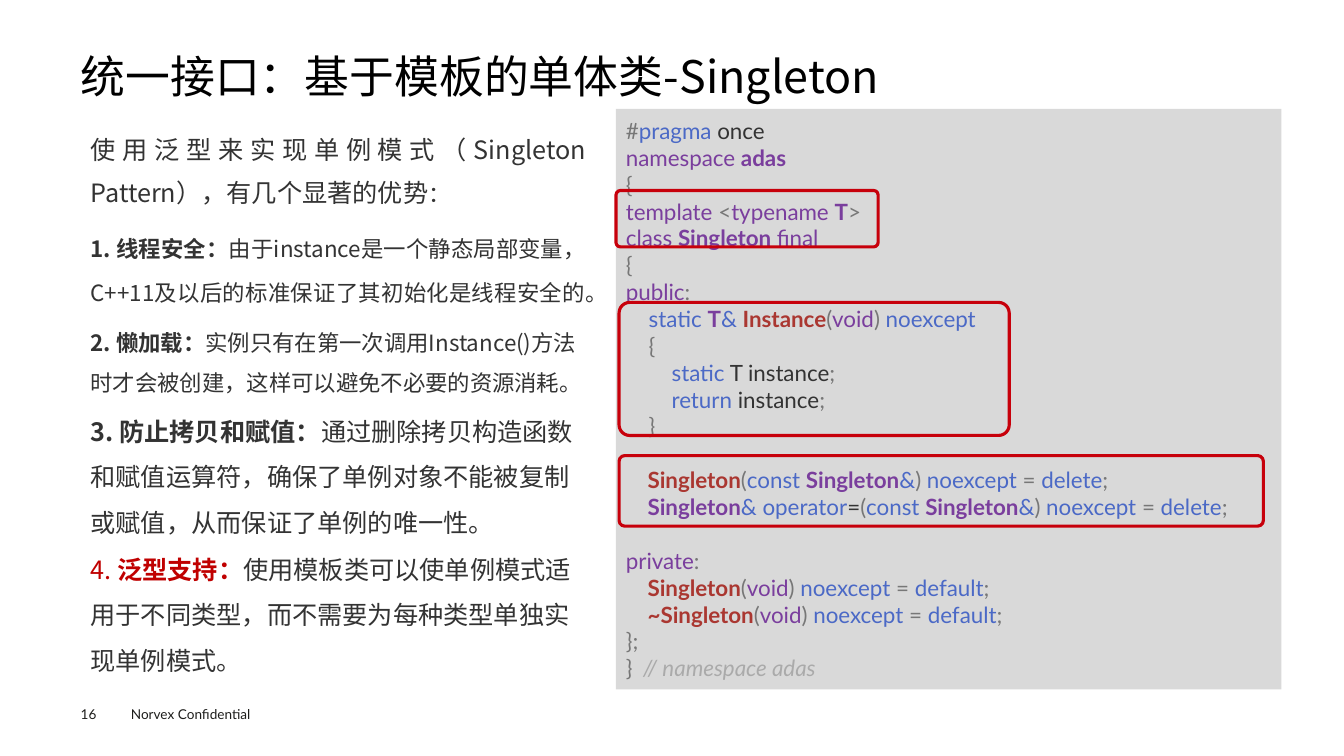
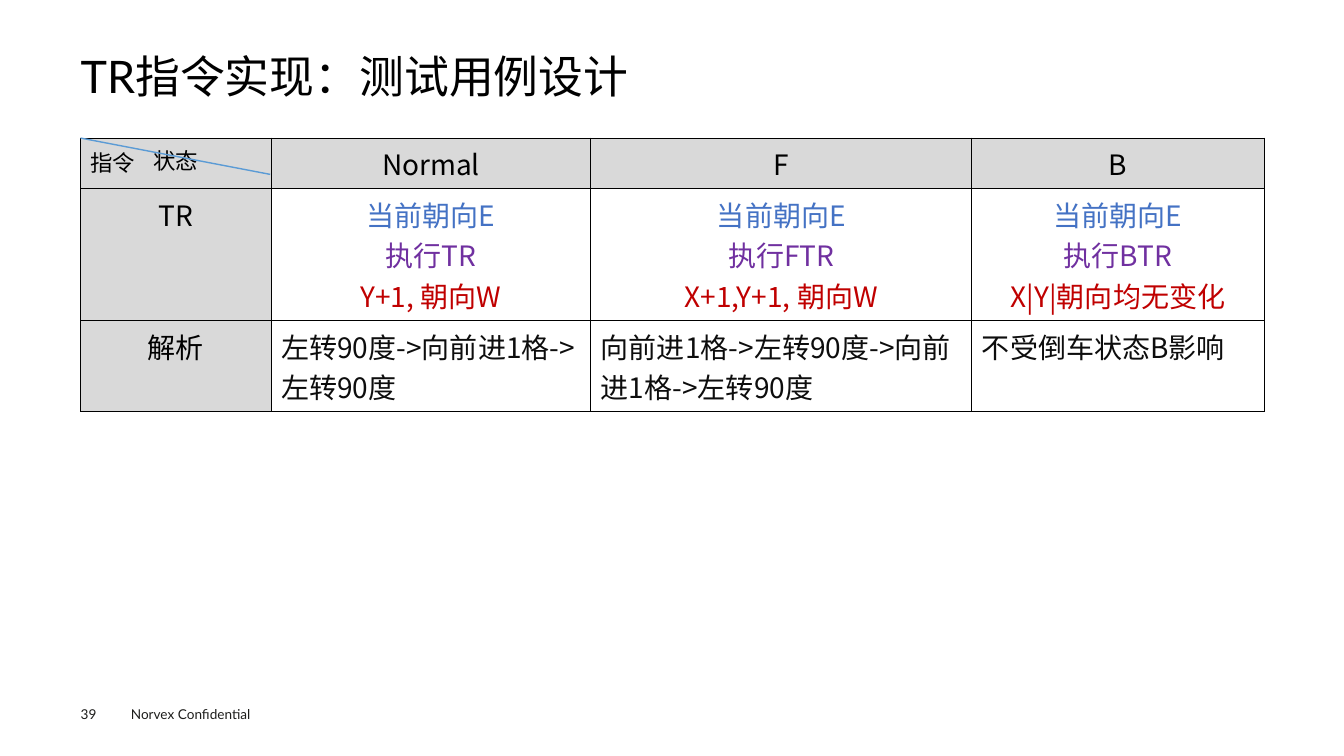
from lxml import etree
from pptx import Presentation
from pptx.dml.color import RGBColor
from pptx.enum import shapes, text
from pptx.oxml import ns
from pptx.util import Inches, Pt

CJK, LATIN = "Noto Sans CJK SC", "Lato"
BLACK, INK, GREY, RED, FRAME = "000000", "333333", "D9D9D9", "C00000", "C7000B"
LEFT, MIDDLE, BOTTOM = text.PP_ALIGN.LEFT, text.MSO_ANCHOR.MIDDLE, text.MSO_ANCHOR.BOTTOM
CENTER, JUSTIFY = text.PP_ALIGN.CENTER, text.PP_ALIGN.JUSTIFY
FOOTER = "Norvex Confidential"

TOKEN_STYLES = {
    "p": {"color": "777777"},
    "k": {"color": "4B69C6"},
    "n": {"color": INK},
    "t": {"color": "7A3E9D"},
    "T": {"color": "7A3E9D", "bold": True},
    "F": {"color": "AA3731", "bold": True},
    "c": {"color": "AAAAAA", "italic": True},
}
DELETED = [("p", ") "), ("k", "noexcept "), ("p", "= "), ("k", "delete"), ("p", ";")]
DEFAULTED = [("p", "("), ("t", "void"), ("p", ") "), ("k", "noexcept "),
             ("p", "= "), ("k", "default"), ("p", ";")]
CONST_REF = [("p", "("), ("k", "const "), ("T", "Singleton"), ("k", "&")]
CODE = [
    [("p", "#"), ("k", "pragma"), ("n", " once")],
    [("t", "namespace "), ("T", "adas")],
    [("p", "{")],
    [("t", "template "), ("p", "<"), ("t", "typename "), ("T", "T"), ("p", ">")],
    [("t", "class "), ("T", "Singleton "), ("t", "final")],
    [("p", "{")],
    [("t", "public"), ("p", ":")],
    [("k", "    static "), ("T", "T"), ("k", "& "), ("F", "Instance"), ("p", "("),
     ("t", "void"), ("p", ") "), ("k", "noexcept")],
    [("p", "    {")],
    [("k", "        static"), ("n", " T instance"), ("p", ";")],
    [("k", "        return"), ("n", " instance"), ("p", ";")],
    [("p", "    }")],
    [("F", "    Singleton"), *CONST_REF, *DELETED],
    [("T", "    Singleton"), ("k", "& operator"), ("n", "="), *CONST_REF, *DELETED],
    [("t", "private"), ("p", ":")],
    [("F", "    Singleton"), *DEFAULTED],
    [("F", "    ~Singleton"), *DEFAULTED],
    [("p", "};")],
    [("p", "}"), ("c", "  // namespace adas")],
]
GAP_BEFORE = (12, 14)
HIGHLIGHTS = [(6.11, 1.89, 2.6, 0.56), (6.14, 3, 3.87, 1.32), (6.14, 4.52, 6.39, 0.7)]

INTRO = [("使用泛型来实现单例模式（Singleton Pattern），有几个显著的优势", {}), ("：", {"size": 16})]
ADVANTAGES = [
    ("1. ", "线程安全：", "由于instance是一个静态局部变量，C++11及以后的标准保证了其初始化是线程安全的。"),
    ("2. ", "懒加载：", "实例只有在第一次调用Instance()方法时才会被创建，这样可以避免不必要的资源消耗。"),
    ("3. ", "防止拷贝和赋值：", "通过删除拷贝构造函数和赋值运算符，确保了单例对象不能被复制或赋值，从而保证了单例的唯一性。"),
    ("4. ", "泛型支持：", "使用模板类可以使单例模式适用于不同类型，而不需要为每种类型单独实现单例模式。"),
]
ADVANTAGE_BOXES = [(3.08, 0.87, 16), (3.93, 1.42, 18), (5.3, 1.42, 18)]

STEP_COLORS = ["4472C4", "7030A0", RED]
CASES = [
    ["状态", "Normal", "F", "B"],
    ["TR",
     ["当前朝向E", "执行TR", "Y+1, 朝向W"],
     ["当前朝向E", "执行FTR", "X+1,Y+1, 朝向W"],
     ["当前朝向E", "执行BTR", "X|Y|朝向均无变化"]],
    ["解析", "左转90度->向前进1格->左转90度",
     "向前进1格->左转90度->向前进1格->左转90度", "不受倒车状态B影响"],
]
COLUMN_WIDTHS = [1.89, 3.17, 3.78, 2.9]
ROW_HEIGHTS = [0.5, 1.31, 0.9]


def rgb(value):
    return RGBColor.from_string(value)


def write(frame, paragraphs, size=18, color=BLACK, font=CJK, align=LEFT,
          spacing=None, before=None, gaps=()):
    frame.word_wrap = True
    for i, runs in enumerate(paragraphs):
        para = frame.paragraphs[0] if i == 0 else frame.add_paragraph()
        para.alignment = align
        if spacing:
            para.line_spacing = spacing
        if before and i in gaps:
            para.space_before = Pt(before)
        for words, style in ([(runs, {})] if isinstance(runs, str) else runs):
            run = para.add_run()
            run.text = words
            run.font.size = Pt(style.get("size", size))
            run.font.name = font
            run.font.bold = style.get("bold", False)
            run.font.italic = style.get("italic", False)
            run.font.color.rgb = rgb(style.get("color", color))
            east_asian = etree.SubElement(run.font._element, ns.qn("a:ea"))
            east_asian.set("typeface", CJK)


def add_text(slide, box, paragraphs, inset=True, anchor=text.MSO_ANCHOR.TOP, **style):
    frame = slide.shapes.add_textbox(*map(Inches, box)).text_frame
    if not inset:
        frame.margin_left = frame.margin_right = frame.margin_top = frame.margin_bottom = 0
    frame.vertical_anchor = anchor
    write(frame, paragraphs, **style)


def add_panel(slide, kind, box, fill=None, line=None):
    panel = slide.shapes.add_shape(kind, *map(Inches, box))
    panel.shadow.inherit = False
    if fill:
        panel.fill.solid()
        panel.fill.fore_color.rgb = rgb(fill)
    else:
        panel.fill.background()
    if line:
        panel.line.color.rgb = rgb(line)
        panel.line.width = Pt(2.25)
    else:
        panel.line.fill.background()
    return panel


def add_page(deck, number, title, font=CJK):
    slide = deck.slides.add_slide(deck.slide_layouts[6])
    add_text(slide, (1.2, 6.95, 1.6, 0.27), [FOOTER], size=9.7, color="1D1D1B", font=LATIN)
    add_text(slide, (0.8, 7, 0.55, 0.16), [number], inset=False, size=9.7,
             color="1D1D1B", font=LATIN)
    add_text(slide, (0.8, 0.49, 11.73, 0.53), [title], inset=False, anchor=BOTTOM,
             size=32, font=font, spacing=0.9)
    return slide


def advantage(index, size):
    number, heading, detail = ADVANTAGES[index]
    last = index == len(ADVANTAGES) - 1
    lead = RED if last else INK
    return [(number, {"bold": not last, "color": lead, "size": size}),
            (heading, {"bold": True, "color": lead, "size": size}),
            (detail, {"size": size})]


def build_singleton(deck):
    slide = add_page(deck, "16", "统一接口：基于模板的单体类-Singleton")
    add_text(slide, (0.8, 1.15, 5.11, 1.9), [INTRO, advantage(0, 16)], color=INK,
             align=JUSTIFY, spacing=Pt(31), before=7.9, gaps=(1,))
    for i, (top, height, size) in enumerate(ADVANTAGE_BOXES, 1):
        add_text(slide, (0.8, top, 5.11, height), [advantage(i, size)], color=INK,
                 spacing=Pt(size * 1.8))
    code = add_panel(slide, shapes.MSO_SHAPE.RECTANGLE, (6.11, 1.08, 6.6, 5.76), fill=GREY)
    code.text_frame.vertical_anchor = MIDDLE
    lines = [[(words, TOKEN_STYLES[kind]) for kind, words in line] for line in CODE]
    write(code.text_frame, lines, size=16, font=LATIN, before=19.2, gaps=GAP_BEFORE)
    for box in HIGHLIGHTS:
        frame = add_panel(slide, shapes.MSO_SHAPE.ROUNDED_RECTANGLE, box, line=FRAME)
        frame.adjustments[0] = 0.08


def add_borders(cell):
    props = cell._tc.get_or_add_tcPr()
    for i, side in enumerate(("lnL", "lnR", "lnT", "lnB")):
        border = etree.Element(ns.qn("a:" + side), w=str(Pt(1)))
        fill = etree.SubElement(border, ns.qn("a:solidFill"))
        etree.SubElement(fill, ns.qn("a:srgbClr"), val=BLACK)
        props.insert(i, border)


def build_cases(deck):
    slide = add_page(deck, "39", "TR指令实现：测试用例设计", font=LATIN)
    box = (0.8, 1.37, sum(COLUMN_WIDTHS), sum(ROW_HEIGHTS))
    table = slide.shapes.add_table(len(CASES), len(CASES[0]), *map(Inches, box)).table
    for column, width in zip(table.columns, COLUMN_WIDTHS):
        column.width = Inches(width)
    for r, (row, height) in enumerate(zip(CASES, ROW_HEIGHTS)):
        table.rows[r].height = Inches(height)
        for c, content in enumerate(row):
            cell = table.cell(r, c)
            heading = r == 0 or c == 0
            if heading:
                cell.fill.solid()
                cell.fill.fore_color.rgb = rgb(GREY)
            else:
                cell.fill.background()
            add_borders(cell)
            steps = isinstance(content, list)
            paragraphs = [content]
            if steps:
                paragraphs = [[(step, {"color": color})]
                              for step, color in zip(content, STEP_COLORS)]
            write(cell.text_frame, paragraphs, size=16 if r == c == 0 else 20,
                  color=BLACK if heading else "0D0D0D",
                  align=CENTER if heading or steps else LEFT)
    ends = (0.8, 1.37, 2.68, 1.73)
    diagonal = slide.shapes.add_connector(shapes.MSO_CONNECTOR.STRAIGHT, *map(Inches, ends))
    diagonal.line.color.rgb = rgb("5B9BD5")
    diagonal.line.width = Pt(1)
    etree.SubElement(diagonal._element.spPr, ns.qn("a:effectLst"))
    add_text(slide, (0.8, 1.43, 0.74, 0.37), ["指令"], size=16)


def main():
    deck = Presentation()
    deck.slide_width, deck.slide_height = Inches(13.33), Inches(7.5)
    build_singleton(deck)
    build_cases(deck)
    deck.save("out.pptx")


if __name__ == "__main__":
    main()
